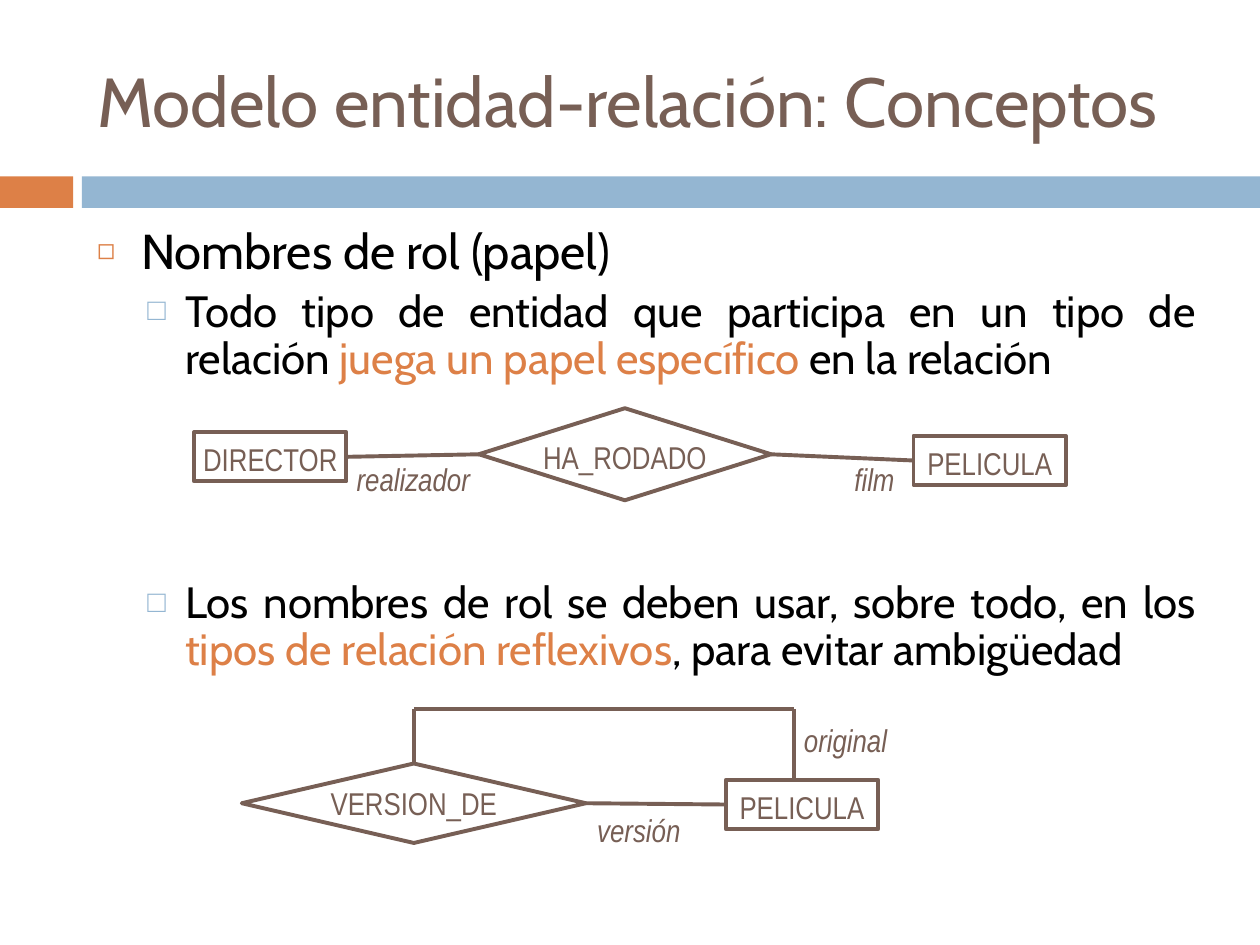
from dataclasses import dataclass
from typing import Optional

from lxml.etree import SubElement
from pptx import Presentation
from pptx.dml.color import RGBColor
from pptx.enum.shapes import MSO_CONNECTOR as Connector, MSO_SHAPE as Shape
from pptx.enum.text import MSO_ANCHOR as Anchor, MSO_AUTO_SIZE as AutoSize, PP_ALIGN as Align
from pptx.oxml.ns import qn
from pptx.util import Pt

COLORS = {"brown": "775F55", "orange": "DD8047", "blue": "94B6D2",
          "black": "000000", "white": "FFFFFF"}
TEXT_FONT, DIAGRAM_FONT = "Cabin", "Arial Narrow"
LINE_WIDTH = 2.25


@dataclass
class Bullet:
    level: int
    runs: list[tuple[str, str]]
    before: float


@dataclass
class LevelStyle:
    size: float
    margin: float
    indent: float
    mark: str
    color: str
    percent: int


@dataclass
class Node:
    text: str
    kind: Shape
    left: float
    top: float
    width: float
    height: float
    inset_top: float = 3.6
    inset_bottom: float = 0.72


@dataclass
class Role:
    text: str
    left: float
    top: float
    width: float


@dataclass
class Link:
    start: tuple[float, float]
    end: tuple[float, float]
    start_node: Optional[tuple[str, int]] = None
    end_node: Optional[tuple[str, int]] = None


LEVELS = [LevelStyle(28, 25.2, -25.2, "◻", "orange", 60),
          LevelStyle(25, 50.4, -21.6, "□", "blue", 70)]
BULLETS = [
    Bullet(0, [("Nombres de rol (papel)", "black")], 0),
    Bullet(1, [("Todo tipo de entidad que participa en un tipo de relación ", "black"),
               ("juega un papel específico", "orange"),
               (" en la relación", "black")], 5.5),
    Bullet(1, [("Los nombres de rol se deben usar, sobre todo, en los ", "black"),
               ("tipos de relación reflexivos", "orange"),
               (", para evitar ambigüedad", "black")], 112.5),
]
ENTITY_SIZE = (87.1, 28.1)
NODES = {
    "director": Node("DIRECTOR", Shape.RECTANGLE, 110.9, 247, *ENTITY_SIZE),
    "film": Node("PELICULA", Shape.RECTANGLE, 522, 249.1, *ENTITY_SIZE),
    "shoots": Node("HA_RODADO", Shape.DIAMOND, 273.6, 233.3, 167, 52.6),
    "original": Node("PELICULA", Shape.RECTANGLE, 414.7, 445.7, *ENTITY_SIZE),
    "version": Node("VERSION_DE", Shape.DIAMOND, 138.2, 436.3, 196.6, 45.4, 0, 0),
}
ROLES = [Role("realizador", 203.8, 262.8, 66), Role("film", 488.2, 262.8, 24),
         Role("original", 459.4, 411.8, 50), Role("versión", 341.3, 463.3, 50)]
LOOP_TOP, LOOP_LEFT, LOOP_RIGHT = 405.4, 236.5, 453.6
LINKS = [
    Link((198, 261), (273.6, 260), ("director", 3), ("shoots", 1)),
    Link((440.6, 260), (522, 263), ("shoots", 3), ("film", 1)),
    Link((334.8, 459), (414.7, 460), ("version", 3), ("original", 1)),
    Link((LOOP_LEFT, LOOP_TOP), (LOOP_LEFT, 436.3), end_node=("version", 0)),
    Link((LOOP_LEFT, LOOP_TOP), (LOOP_RIGHT, LOOP_TOP)),
    Link((LOOP_RIGHT, LOOP_TOP), (LOOP_RIGHT, 445.7)),
]


def rgb(name: str) -> RGBColor:
    return RGBColor.from_string(COLORS[name])


def place(shape, left: float, top: float, width: float, height: float) -> None:
    shape.left, shape.top = Pt(left), Pt(top)
    shape.width, shape.height = Pt(width), Pt(height)


def style_font(font, name: str, size: float, color: str, italic: bool = False) -> None:
    font.name, font.size, font.italic = name, Pt(size), italic
    font.color.rgb = rgb(color)


def set_insets(frame, top: float = 0, bottom: float = 0) -> None:
    frame.margin_left = frame.margin_right = 0
    frame.margin_top, frame.margin_bottom = Pt(top), Pt(bottom)


def add_bar(slide, left: float, width: float, color: str) -> None:
    bar = slide.shapes.add_shape(Shape.RECTANGLE, Pt(left), Pt(100.8), Pt(width), Pt(18))
    bar.shadow.inherit = False
    bar.fill.solid()
    bar.fill.fore_color.rgb = rgb(color)
    bar.line.fill.background()


def fill_title(title) -> None:
    place(title, 48.24, 18, 642.24, 77.76)
    frame = title.text_frame
    frame.text = "Modelo entidad-relación: Conceptos"
    frame.auto_size, frame.vertical_anchor = AutoSize.NONE, Anchor.MIDDLE
    para = frame.paragraphs[0]
    para.alignment = Align.LEFT
    style_font(para.runs[0].font, TEXT_FONT, 39.6, "brown")


def add_bullet(para, bullet: Bullet) -> None:
    style = LEVELS[bullet.level]
    para.level, para.alignment = bullet.level, Align.JUSTIFY
    para.line_spacing, para.space_before = 0.9, Pt(bullet.before)
    para.space_after = Pt(0)
    properties = para._p.get_or_add_pPr()
    properties.set("marL", str(Pt(style.margin)))
    properties.set("indent", str(Pt(style.indent)))
    color = SubElement(properties, qn("a:buClr"))
    SubElement(color, qn("a:srgbClr"), val=COLORS[style.color])
    SubElement(properties, qn("a:buSzPct"), val=str(style.percent * 1000))
    SubElement(properties, qn("a:buChar"), char=style.mark)
    for text, run_color in bullet.runs:
        run = para.add_run()
        run.text = text
        style_font(run.font, TEXT_FONT, style.size, run_color)


def fill_body(body) -> None:
    place(body, 48.24, 126, 642.24, 388.08)
    frame = body.text_frame
    frame.auto_size, frame.vertical_anchor = AutoSize.NONE, Anchor.TOP
    for index, bullet in enumerate(BULLETS):
        add_bullet(frame.add_paragraph() if index else frame.paragraphs[0], bullet)


def add_node(slide, node: Node):
    box = slide.shapes.add_shape(node.kind, Pt(node.left), Pt(node.top),
                                 Pt(node.width), Pt(node.height))
    box.shadow.inherit = False
    box.fill.solid()
    box.fill.fore_color.rgb = rgb("white")
    box.line.color.rgb, box.line.width = rgb("brown"), Pt(LINE_WIDTH)
    frame = box.text_frame
    frame.text = node.text
    frame.word_wrap, frame.vertical_anchor = False, Anchor.MIDDLE
    set_insets(frame, node.inset_top, node.inset_bottom)
    para = frame.paragraphs[0]
    para.alignment = Align.CENTER
    style_font(para.runs[0].font, DIAGRAM_FONT, 18, "brown")
    return box


def add_role(slide, role: Role) -> None:
    box = slide.shapes.add_textbox(Pt(role.left), Pt(role.top), Pt(role.width), Pt(21))
    frame = box.text_frame
    frame.text = role.text
    set_insets(frame)
    style_font(frame.paragraphs[0].runs[0].font, DIAGRAM_FONT, 18, "brown", italic=True)


def add_link(slide, link: Link, boxes: dict) -> None:
    line = slide.shapes.add_connector(Connector.STRAIGHT, *map(Pt, link.start + link.end))
    line.line.color.rgb, line.line.width = rgb("brown"), Pt(LINE_WIDTH)
    SubElement(line._element.spPr, qn("a:effectLst"))
    for target, connect in ((link.start_node, line.begin_connect),
                            (link.end_node, line.end_connect)):
        if target:
            connect(boxes[target[0]], target[1])


def main() -> None:
    deck = Presentation()
    deck.slide_width, deck.slide_height = Pt(720), Pt(540)
    slide = deck.slides.add_slide(deck.slide_layouts[1])
    add_bar(slide, 0, 41.76, "orange")
    add_bar(slide, 46.8, 673.2, "blue")
    fill_title(slide.shapes.title)
    fill_body(slide.placeholders[1])
    boxes = {name: add_node(slide, node) for name, node in NODES.items()}
    for link in LINKS:
        add_link(slide, link, boxes)
    for role in ROLES:
        add_role(slide, role)
    deck.save("out.pptx")


if __name__ == "__main__":
    main()
